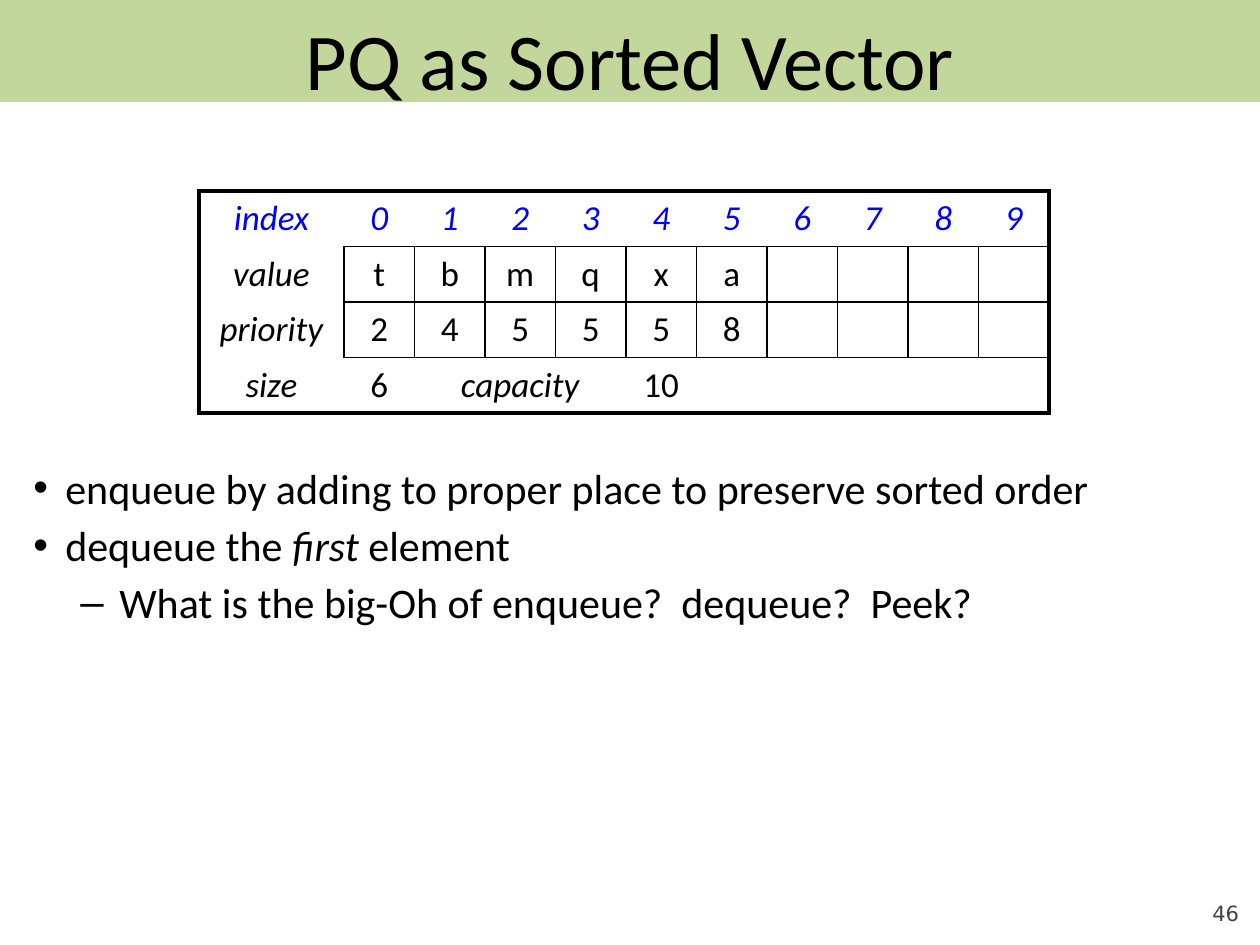
import pptx
import pptx.util
import pptx.dml.color
import pptx.enum.shapes
import pptx.enum.text
import pptx.oxml
import pptx.oxml.ns

RGBColor = pptx.dml.color.RGBColor
Pt = pptx.util.Pt
ALIGN = pptx.enum.text.PP_ALIGN
ANCHOR = pptx.enum.text.MSO_ANCHOR

PX = 914400 // 126
BLACK = RGBColor(0x00, 0x00, 0x00)
BLUE = RGBColor(0x00, 0x00, 0xFF)
GREEN = RGBColor(0xC3, 0xD6, 0x9B)
GRAY = RGBColor(0x42, 0x42, 0x42)
FONT = "Calibri"

# text, italic; one list per row, keyed by column
ROWS = [
    ["index"] + [str(i) for i in range(10)],
    ["value", "t", "b", "m", "q", "x", "a"],
    ["priority", "2", "4", "5", "5", "5", "8"],
    ["size", "6", "capacity", "", "", "10"],
]
BULLETS = [
    (0, [("enqueue by adding to proper place to preserve sorted order", False)]),
    (0, [("dequeue the ", False), ("first", True), (" element", False)]),
    (1, [("What is the big-Oh of enqueue?  dequeue?  Peek?", False)]),
]
# bullet character, text margin and hanging indent in px
LEVELS = [("•", 32, 32), ("–", 86, 39)]


def box_emu(box):
    return [v * PX for v in box]


def add_run(p, text, size, color=BLACK, italic=False, font=FONT):
    r = p.add_run()
    r.text = text
    r.font.size = Pt(size)
    r.font.name = font
    r.font.italic = italic
    r.font.color.rgb = color


def add_title(s, box, text):
    x, y, w, h = box
    # Green band behind the title
    band = s.shapes.add_shape(pptx.enum.shapes.MSO_SHAPE.RECTANGLE, *box_emu(box))
    band.shadow.inherit = False
    band.fill.solid()
    band.fill.fore_color.rgb = GREEN
    band.line.fill.background()
    s.shapes.title._element.addprevious(band._element)

    title = s.shapes.title
    title.left, title.top, title.width, title.height = box_emu((x + 63, y + 4, w - 126, h - 8))
    tf = title.text_frame
    tf.auto_size = pptx.enum.text.MSO_AUTO_SIZE.NONE
    tf.vertical_anchor = ANCHOR.TOP
    p = tf.paragraphs[0]
    p.alignment = ALIGN.CENTER
    add_run(p, text, 46)


def in_grid(row, col):
    return row in (1, 2) and 1 <= col <= 10


def set_borders(cell, row, col):
    tc_pr = cell._tc.get_or_add_tcPr()
    sides = [("lnL", row, col - 1), ("lnR", row, col + 1),
             ("lnT", row - 1, col), ("lnB", row + 1, col)]
    for i, (tag, r, c) in enumerate(sides):
        if not (0 <= r <= 3 and 0 <= c <= 10):
            width = 2.25
        else:
            width = 1 if in_grid(row, col) or in_grid(r, c) else 0
        fill = f'<a:solidFill><a:srgbClr val="{BLACK}"/></a:solidFill>' if width else "<a:noFill/>"
        tc_pr.insert(i, pptx.oxml.parse_xml(
            f'<a:{tag} {pptx.oxml.ns.nsdecls("a")} w="{int(width * 12700)}">{fill}</a:{tag}>'))


def add_vector_table(s, box):
    x, y, w, h = box_emu(box)
    table = s.shapes.add_table(4, 11, x, y, w, h).table
    table.first_row = table.horz_banding = False
    label_w = 145 * PX
    for i, column in enumerate(table.columns):
        column.width = label_w if i == 0 else (w - label_w) // 10
    for row in table.rows:
        row.height = h // 4

    for r in range(4):
        for c in range(11):
            cell = table.cell(r, c)
            cell.fill.background()
            set_borders(cell, r, c)
            p = cell.text_frame.paragraphs[0]
            p.alignment = ALIGN.CENTER
            p.font.size = Pt(20)
            text = ROWS[r][c] if c < len(ROWS[r]) else ""
            if text:
                italic = r == 0 or c == 0 or text == "capacity"
                add_run(p, text, 20, BLUE if r == 0 else BLACK, italic)
    table.cell(3, 2).merge(table.cell(3, 4))


def add_bullets(s, box):
    tf = s.shapes.add_textbox(*box_emu(box)).text_frame
    tf.word_wrap = True
    for i, (level, runs) in enumerate(BULLETS):
        p = tf.paragraphs[0] if i == 0 else tf.add_paragraph()
        char, margin, hang = LEVELS[level]
        p.level = level
        if i:
            p.space_before = Pt(4)
        p_pr = p._p.get_or_add_pPr()
        p_pr.set("marL", str(margin * PX))
        p_pr.set("indent", str(-hang * PX))
        p_pr.append(pptx.oxml.parse_xml(
            f'<a:buFont {pptx.oxml.ns.nsdecls("a")} typeface="Arial"/>'))
        p_pr.append(pptx.oxml.parse_xml(
            f'<a:buChar {pptx.oxml.ns.nsdecls("a")} char="{char}"/>'))
        for text, italic in runs:
            add_run(p, text, 24, italic=italic)


def add_page_number(s, box, text):
    tf = s.shapes.add_textbox(*box_emu(box)).text_frame
    tf.word_wrap = True
    tf.margin_left = tf.margin_right = tf.margin_top = tf.margin_bottom = 0
    tf.vertical_anchor = ANCHOR.BOTTOM
    p = tf.paragraphs[0]
    p.alignment = ALIGN.RIGHT
    add_run(p, text, 12, GRAY, font="DejaVu Sans")


def main():
    prs = pptx.Presentation()
    prs.slide_width, prs.slide_height = 1260 * PX, 945 * PX
    s = prs.slides.add_slide(prs.slide_layouts[5])
    add_title(s, (0, 0, 1260, 102), "PQ as Sorted Vector")
    add_vector_table(s, (199, 191, 850, 222))
    add_bullets(s, (21, 456, 1239, 190))
    add_page_number(s, (1134, 876, 105, 50), "46")
    prs.save("out.pptx")


if __name__ == "__main__":
    main()
